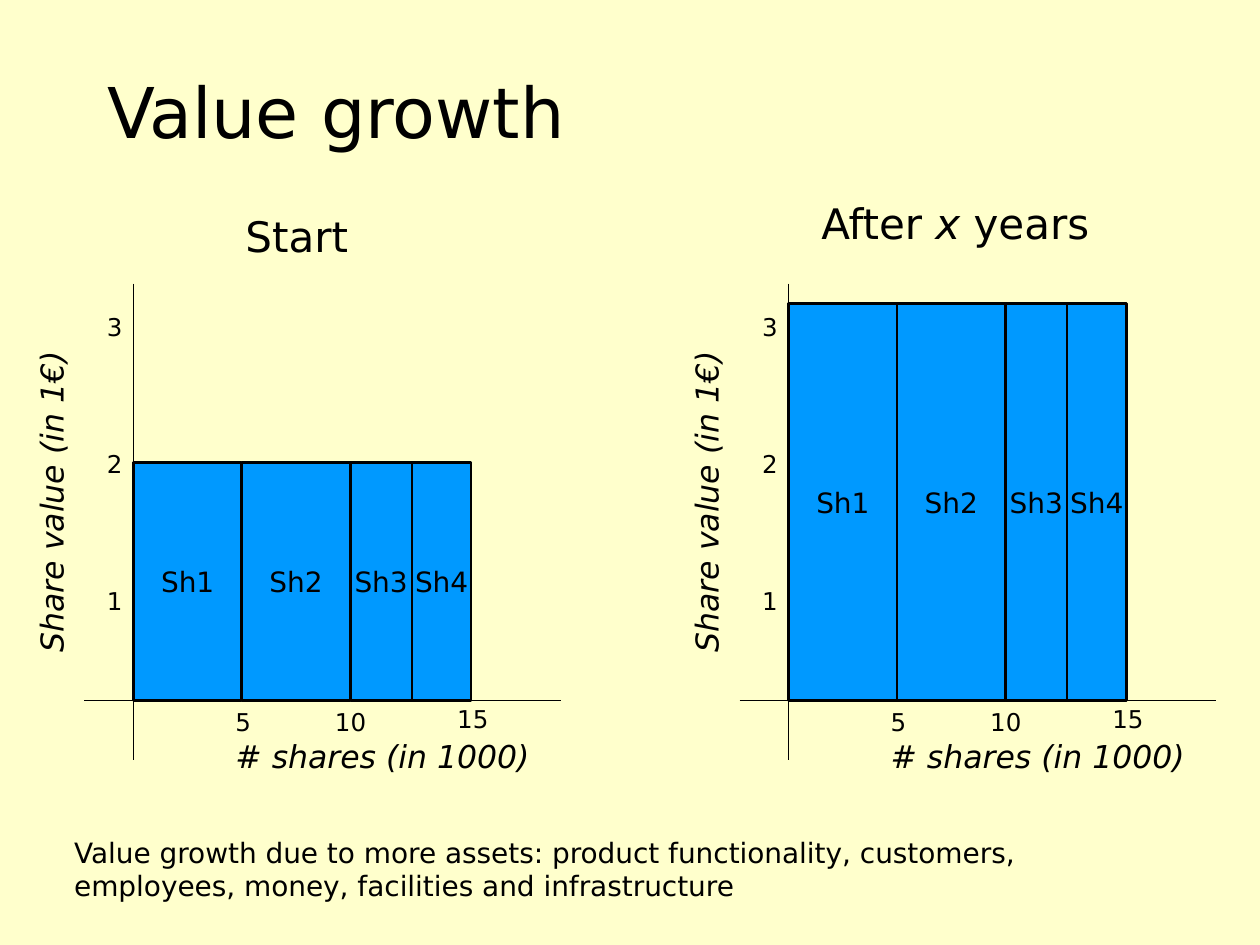
from itertools import pairwise

from lxml import etree
from pptx import Presentation
from pptx.dml.color import RGBColor
from pptx.enum import shapes, text
from pptx.oxml import ns
from pptx.util import Inches, Pt

COLORS = {"background": "FFFFCC", "ink": "000000", "share": "0099FF"}
FONT = "DejaVu Sans"
BASELINE = 5.56
SHARE_EDGES = [0, 0.86, 1.72, 2.21, 2.68]  # offsets from the value axis
SHARE_TICKS = [("5", 0.71, 0.32, 0), ("10", 1.5, 0.45, 0), ("15", 2.47, 0.45, -0.02)]


def color(name):
    return RGBColor.from_string(COLORS[name])


def write(frame, content, size, italic=False, align=text.PP_ALIGN.LEFT,
          anchor=text.MSO_ANCHOR.TOP, wrap=False, fit=text.MSO_AUTO_SIZE.NONE):
    """Fill a text frame; parts of content between asterisks switch italics."""
    frame.auto_size = fit
    frame.word_wrap = wrap
    frame.vertical_anchor = anchor
    paragraph = frame.paragraphs[0]
    paragraph.alignment = align
    for index, part in enumerate(content.split("*")):
        run = paragraph.add_run()
        run.text = part
        run.font.name = FONT
        run.font.size = Pt(size)
        run.font.italic = italic != bool(index % 2)
        run.font.color.rgb = color("ink")


def add_label(slide, content, left, top, width, height, size, rotation=0, **style):
    label = slide.shapes.add_textbox(
        Inches(left), Inches(top), Inches(width), Inches(height))
    label.rotation = rotation
    write(label.text_frame, content, size,
          fit=text.MSO_AUTO_SIZE.SHAPE_TO_FIT_TEXT, **style)


def add_axis(slide, x1, y1, x2, y2):
    axis = slide.shapes.add_connector(
        shapes.MSO_CONNECTOR.STRAIGHT, Inches(x1), Inches(y1), Inches(x2), Inches(y2))
    axis.line.color.rgb = color("ink")
    axis.line.width = Pt(0.75)
    etree.SubElement(axis._element.spPr, ns.qn("a:effectLst"))


def add_share(slide, name, left, top, width, height):
    share = slide.shapes.add_shape(
        shapes.MSO_SHAPE.RECTANGLE,
        Inches(left), Inches(top), Inches(width), Inches(height))
    share.shadow.inherit = False
    share.fill.solid()
    share.fill.fore_color.rgb = color("share")
    share.line.color.rgb = color("ink")
    share.line.width = Pt(1.5)
    write(share.text_frame, name, 16, align=text.PP_ALIGN.CENTER,
          anchor=text.MSO_ANCHOR.MIDDLE)


def add_diagram(slide, origin, share_height):
    """Draw the axes, their labels and one block per shareholder."""
    add_axis(slide, origin, 2.25, origin, 6.03)
    add_axis(slide, origin - 0.39, BASELINE, origin + 3.39, BASELINE)
    add_label(slide, "# shares (in 1000)", origin + 0.71, 5.8, 2.59, 0.4, 18, italic=True)
    for tick, offset, width, shift in SHARE_TICKS:
        add_label(slide, tick, origin + offset, BASELINE + shift, width, 0.33, 14)
    add_label(slide, "Share value (in 1€)", origin - 1.98, 3.75, 2.65, 0.4, 18,
              rotation=270, italic=True)
    for number, (start, end) in enumerate(pairwise(SHARE_EDGES), 1):
        add_share(slide, f"Sh{number}", origin + start, BASELINE - share_height,
                  end - start, share_height)
    for value in (1, 2, 3):
        add_label(slide, str(value), origin - 0.31, 4.6 - (value - 1) * 1.085,
                  0.32, 0.33, 14)


def add_title(slide, content):
    title = slide.shapes.title
    title.left, title.top = Inches(0.75), Inches(0.25)
    title.width, title.height = Inches(8.08), Inches(1.25)
    write(title.text_frame, content, 40, anchor=text.MSO_ANCHOR.MIDDLE, wrap=True)


def main():
    deck = Presentation()
    deck.slide_width, deck.slide_height = Inches(10), Inches(7.5)
    slide = deck.slides.add_slide(deck.slide_layouts[5])
    slide.background.fill.solid()
    slide.background.fill.fore_color.rgb = color("background")

    add_title(slide, "Value growth")
    add_diagram(slide, origin=1.06, share_height=1.89)
    add_diagram(slide, origin=6.26, share_height=3.15)
    add_label(slide, "Start", 1.85, 1.62, 1.03, 0.5, 24)
    add_label(slide, "After *x* years", 6.42, 1.52, 2.36, 0.5, 24)
    add_label(slide, "Value growth due to more assets: product functionality, customers, "
              "employees, money, facilities and infrastructure",
              0.49, 6.58, 8.68, 0.64, 16, wrap=True)
    deck.save("out.pptx")


if __name__ == "__main__":
    main()
